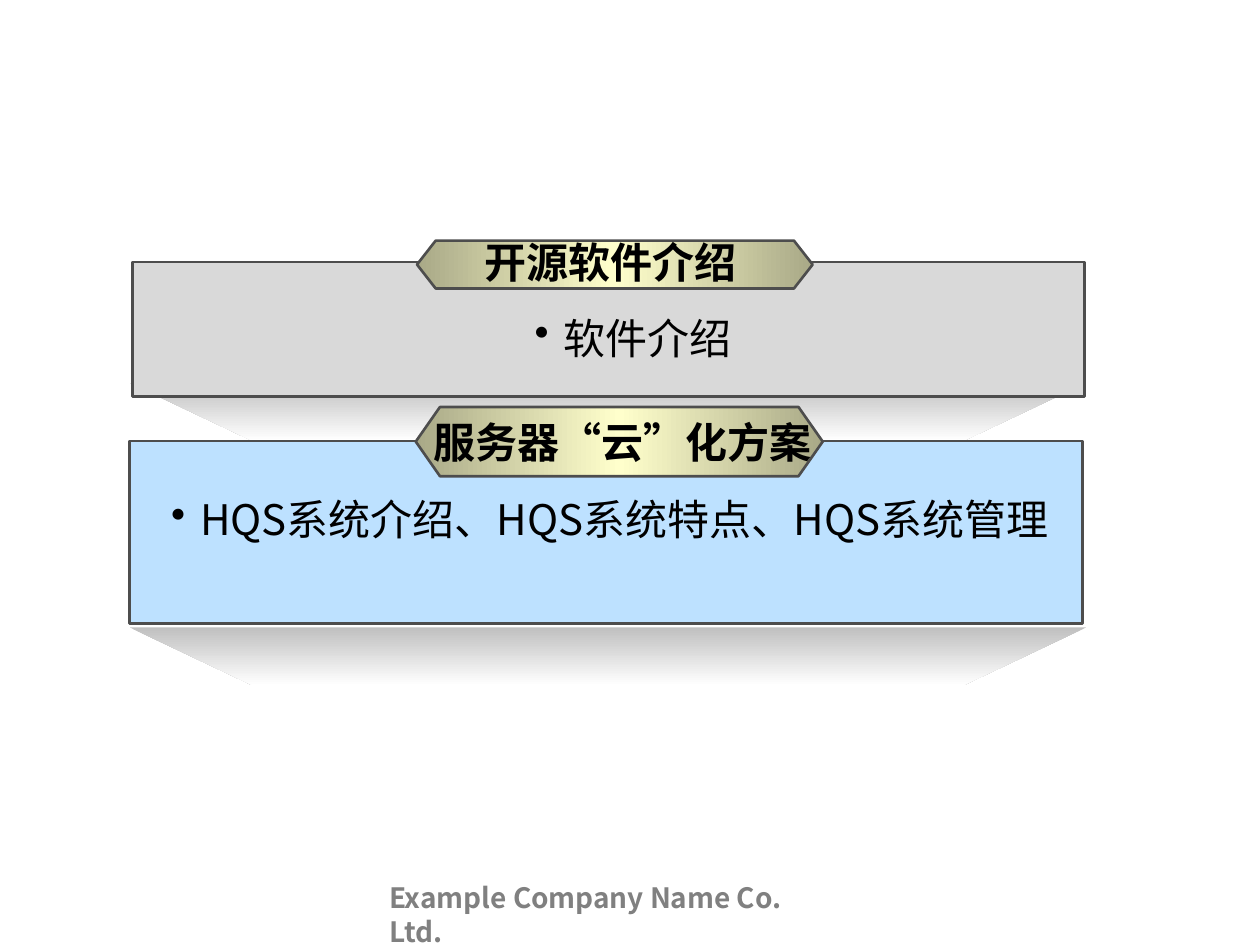
"""Build a slide with two titled panels that stand on fading shadows."""
import copy
from dataclasses import dataclass

import pptx
import pptx.dml.color
import pptx.enum.shapes
import pptx.enum.text
import pptx.oxml
import pptx.oxml.ns
import pptx.util


@dataclass(frozen=True)
class Theme:
    font: str = "Noto Sans CJK SC"
    ink: str = "000000"
    muted: str = "808080"
    outline: str = "4D4D4D"
    grey_panel: str = "D9D9D9"
    blue_panel: str = "BDE1FF"
    shadow: tuple = ("C0C0C0", "FFFFFF")
    badge: tuple = ("A9A987", "FFFFCC", "A9A987")
    text_size: int = 24
    footer_size: int = 16
    line_width: float = 1.5
    hanging: float = 0.23


def color(value):
    return pptx.dml.color.RGBColor.from_string(value)


def write(box, text, size, ink, bold=False, bullet=None, hanging=0, font="", centred=False):
    para = box.text_frame.paragraphs[0]
    span = para.add_run()
    span.text = text
    span.font.name, span.font.size, span.font.bold = font, pptx.util.Pt(size), bold
    span.font.color.rgb = color(ink)
    east_asian = pptx.oxml.parse_xml(f'<a:ea {pptx.oxml.ns.nsdecls("a")} typeface="{font}"/>')
    span.font._element.find(pptx.oxml.ns.qn("a:latin")).addnext(east_asian)
    if centred:
        para.alignment = pptx.enum.text.PP_ALIGN.CENTER
    if bullet:
        properties = para._p.get_or_add_pPr()
        indent = pptx.util.Inches(hanging)
        properties.set("marL", str(indent))
        properties.set("indent", str(-indent))
        properties.append(pptx.oxml.parse_xml(
            f'<a:buChar {pptx.oxml.ns.nsdecls("a")} char="{bullet}"/>'))


class Sketch:
    """Draws styled elements on one slide, placed on a grid of 100 columns by 75 rows."""

    columns, rows = 100, 75

    def __init__(self, deck, theme):
        self.theme = theme
        self.page = deck.slides.add_slide(deck.slide_layouts[6])
        self.column = deck.slide_width / self.columns
        self.row = deck.slide_height / self.rows

    def place(self, left, top, width, height):
        return (round(left * self.column), round(top * self.row),
                round(width * self.column), round(height * self.row))

    def gradient(self, shape, colors, angle):
        shape.fill.gradient()
        shape.fill.gradient_angle = angle
        stops = shape._element.spPr.find(".//" + pptx.oxml.ns.qn("a:gsLst"))
        while len(stops) < len(colors):
            stops.append(copy.deepcopy(stops[0]))
        for index, (stop, value) in enumerate(zip(shape.fill.gradient_stops, colors)):
            stop.position = index / (len(colors) - 1)
            stop.color.rgb = color(value)

    def outlined(self, kind, at):
        shape = self.page.shapes.add_shape(kind, *self.place(*at))
        shape.shadow.inherit = False
        shape.line.color.rgb = color(self.theme.outline)
        shape.line.width = pptx.util.Pt(self.theme.line_width)
        return shape

    def panel(self, at, fill):
        shape = self.outlined(pptx.enum.shapes.MSO_SHAPE.RECTANGLE, at)
        shape.fill.solid()
        shape.fill.fore_color.rgb = color(fill)

    def badge(self, at, point):
        shape = self.outlined(pptx.enum.shapes.MSO_SHAPE.HEXAGON, at)
        shape.adjustments[0] = point
        self.gradient(shape, self.theme.badge, 0)

    def shadow(self, at, inset):
        left, top, width, height = self.place(*at)
        step = round(inset * self.column)
        outline = self.page.shapes.build_freeform(left, top)
        outline.add_line_segments([
            (left + step, top + height), (left + width - step, top + height), (left + width, top)])
        shape = outline.convert_to_shape()
        shape.shadow.inherit = False
        shape.line.fill.background()
        self.gradient(shape, self.theme.shadow, 270)

    def label(self, at, text, wrap=False, **style):
        box = self.page.shapes.add_textbox(*self.place(*at))
        box.text_frame.word_wrap = wrap
        box.text_frame.auto_size = pptx.enum.text.MSO_AUTO_SIZE.SHAPE_TO_FIT_TEXT
        look = {"size": self.theme.text_size, "ink": self.theme.ink, "font": self.theme.font}
        write(box, text, **{**look, **style})

    def point(self, at, text):
        self.label(at, text, wrap=True, centred=True, bullet="•", hanging=self.theme.hanging)


def main():
    deck = pptx.Presentation()
    deck.slide_width, deck.slide_height = pptx.util.Inches(10), pptx.util.Inches(7.5)
    theme = Theme()
    sketch = Sketch(deck, theme)

    sketch.label((29.9, 69.4, 37.3, 3.7), "Example Company Name Co. Ltd.",
                 size=theme.footer_size, ink=theme.muted, bold=True)
    for top in (49.8, 30.4):
        sketch.shadow((10.3, top, 75.9, 4.6), 9.75)
    sketch.panel((10.5, 20.8, 75.6, 10.7), theme.grey_panel)
    sketch.panel((10.3, 35, 75.6, 14.5), theme.blue_panel)
    sketch.point((14.2, 24.3, 72.1, 5), "软件介绍")
    sketch.badge((33.1, 19.1, 31.4, 3.8), 0.39)
    sketch.badge((33, 32.3, 32.3, 5.5), 0.35)
    sketch.label((37.5, 18.3, 22.3, 5), "开源软件介绍", bold=True)
    sketch.label((33.4, 32.6, 32.5, 5), "服务器“云”化方案", bold=True)
    sketch.point((12.4, 38.7, 72, 9.1), "HQS系统介绍、HQS系统特点、HQS系统管理")
    deck.save("out.pptx")


if __name__ == "__main__":
    main()
